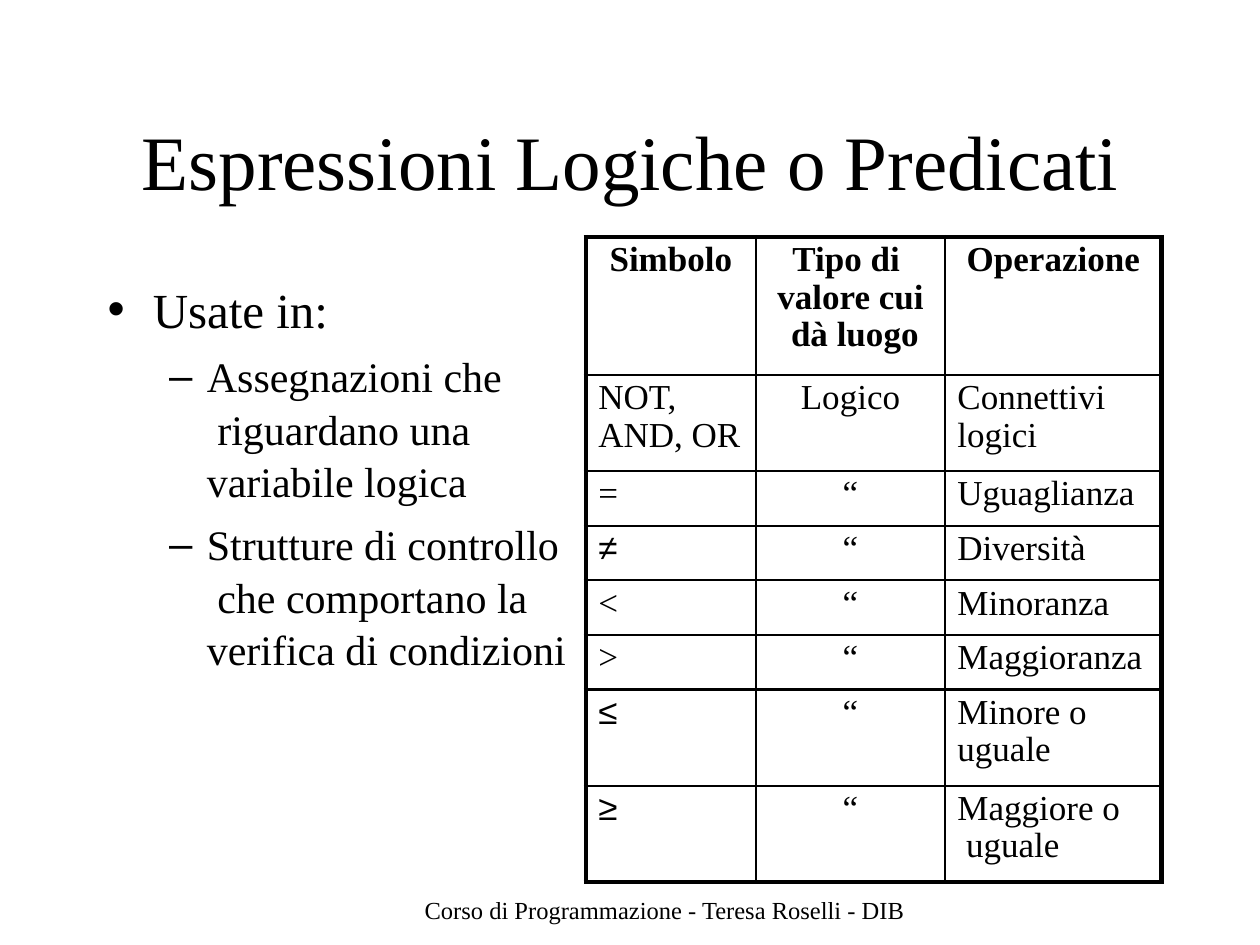
"""Build the slide on logical expressions with its list and operator table."""
import pptx
import pptx.dml.color
import pptx.enum.text
import pptx.oxml
import pptx.oxml.ns
import pptx.util

Cm, Pt = pptx.util.Cm, pptx.util.Pt
Align = pptx.enum.text.PP_ALIGN


class Theme:
    ink = "000000"
    serif, sans = "Times New Roman", "Arial"
    title, list, sub, cell, foot = 44, 28, 24, 20, 14
    thick, thin = 3, 1.5


def write(par, text, size, font=Theme.serif, bold=False):
    for i, line in enumerate(text.split("\v")):
        if i:
            par.add_line_break()
        run = par.add_run()
        run.text = line
        run.font.name, run.font.size, run.font.bold = font, Pt(size), bold
        run.font.color.rgb = pptx.dml.color.RGBColor.from_string(Theme.ink)


def setup(shape, left, top, width, height, inset=0):
    shape.left, shape.top, shape.width, shape.height = map(Cm, (left, top, width, height))
    frame = shape.text_frame
    frame.margin_left = frame.margin_right = frame.margin_bottom = 0
    frame.margin_top = Cm(inset)
    frame.auto_size = pptx.enum.text.MSO_AUTO_SIZE.NONE
    frame.vertical_anchor = pptx.enum.text.MSO_ANCHOR.TOP
    frame.word_wrap = True
    return frame


deck = pptx.Presentation()
deck.slide_width, deck.slide_height = Cm(25.4), Cm(19.05)
slide = deck.slides.add_slide(deck.slide_layouts[1])

title = setup(slide.shapes.title, 2.82, 2.26, 19.79, 1.93, 0.03)
write(title.paragraphs[0], "Espressioni Logiche o Predicati", Theme.title)

body = setup(slide.placeholders[1], 2.11, 5.31, 9.4, 8.03, 0.28)
items = [
    (0, "Usate in:"),
    (1, "Assegnazioni che\v riguardano una\vvariabile logica"),
    (1, "Strutture di controllo\v che comportano la\vverifica di condizioni"),
]
levels = [("•", 0.97, -0.91, 8, Theme.list), ("–", 2.06, -0.76, 6, Theme.sub)]
for i, (level, text) in enumerate(items):
    mark, left, hang, gap, size = levels[level]
    par = body.add_paragraph() if i else body.paragraphs[0]
    par.level, par.space_before, par.line_spacing = level, Pt(gap), 1.04
    props = par._p.get_or_add_pPr()
    props.set("marL", str(Cm(left)))
    props.set("indent", str(Cm(hang)))
    props.append(pptx.oxml.parse_xml(
        f'<a:buChar {pptx.oxml.ns.nsdecls("a")} char="{mark}"/>'))
    write(par, text, size)

rows = [
    ("Simbolo", "Tipo di \vvalore cui\v dà luogo", "Operazione"),
    ("NOT,\nAND, OR", "Logico", "Connettivi\nlogici"),
    ("=", "“", "Uguaglianza"),
    ("≠", "“", "Diversità"),
    ("<", "“", "Minoranza"),
    (">", "“", "Maggioranza"),
    ("≤", "“", "Minore o\nuguale"),
    ("≥", "“", "Maggiore o\v uguale"),
]
widths = [3.43, 3.81, 4.37]
tall, short = 1.94, 1.1
heights = [2.78, tall] + [short] * 4 + [tall] * 2
grid = slide.shapes.add_table(len(rows), len(widths), Cm(11.81), Cm(4.78),
                              Cm(sum(widths)), Cm(sum(heights))).table
grid.first_row = grid.horz_banding = False
for col, width in zip(grid.columns, widths):
    col.width = Cm(width)
for r, texts in enumerate(rows):
    grid.rows[r].height = Cm(heights[r])
    for c, text in enumerate(texts):
        cell = grid.cell(r, c)
        mid = r == 0 or c == 1
        cell.margin_left = Cm(0 if mid else 0.25)
        cell.margin_right = cell.margin_bottom = 0
        cell.margin_top = Cm(0.1)
        font = Theme.sans if text in "≠≤≥" else Theme.serif
        for i, line in enumerate(text.split("\n")):
            par = cell.text_frame.add_paragraph() if i else cell.text_frame.paragraphs[0]
            par.alignment = Align.CENTER if mid else Align.LEFT
            par.line_spacing = 0.96
            write(par, line, Theme.cell, font, r == 0)
        edges = {"L": c == 0, "R": c == len(widths) - 1,
                 "T": r == 0, "B": r == len(rows) - 1}
        for side, outer in edges.items():
            weight = Pt(Theme.thick if outer else Theme.thin)
            cell._tc.get_or_add_tcPr().append(pptx.oxml.parse_xml(
                f'<a:ln{side} {pptx.oxml.ns.nsdecls("a")} w="{weight}"><a:solidFill>'
                f'<a:srgbClr val="{Theme.ink}"/></a:solidFill></a:ln{side}>'))
        cell.fill.background()

foot = setup(slide.shapes.add_textbox(0, 0, 0, 0), 8.56, 18.06, 9.8, 0.61)
foot.paragraphs[0].line_spacing = Pt(16.3)
write(foot.paragraphs[0], "Corso di Programmazione - Teresa Roselli - DIB", Theme.foot)

deck.save("out.pptx")
